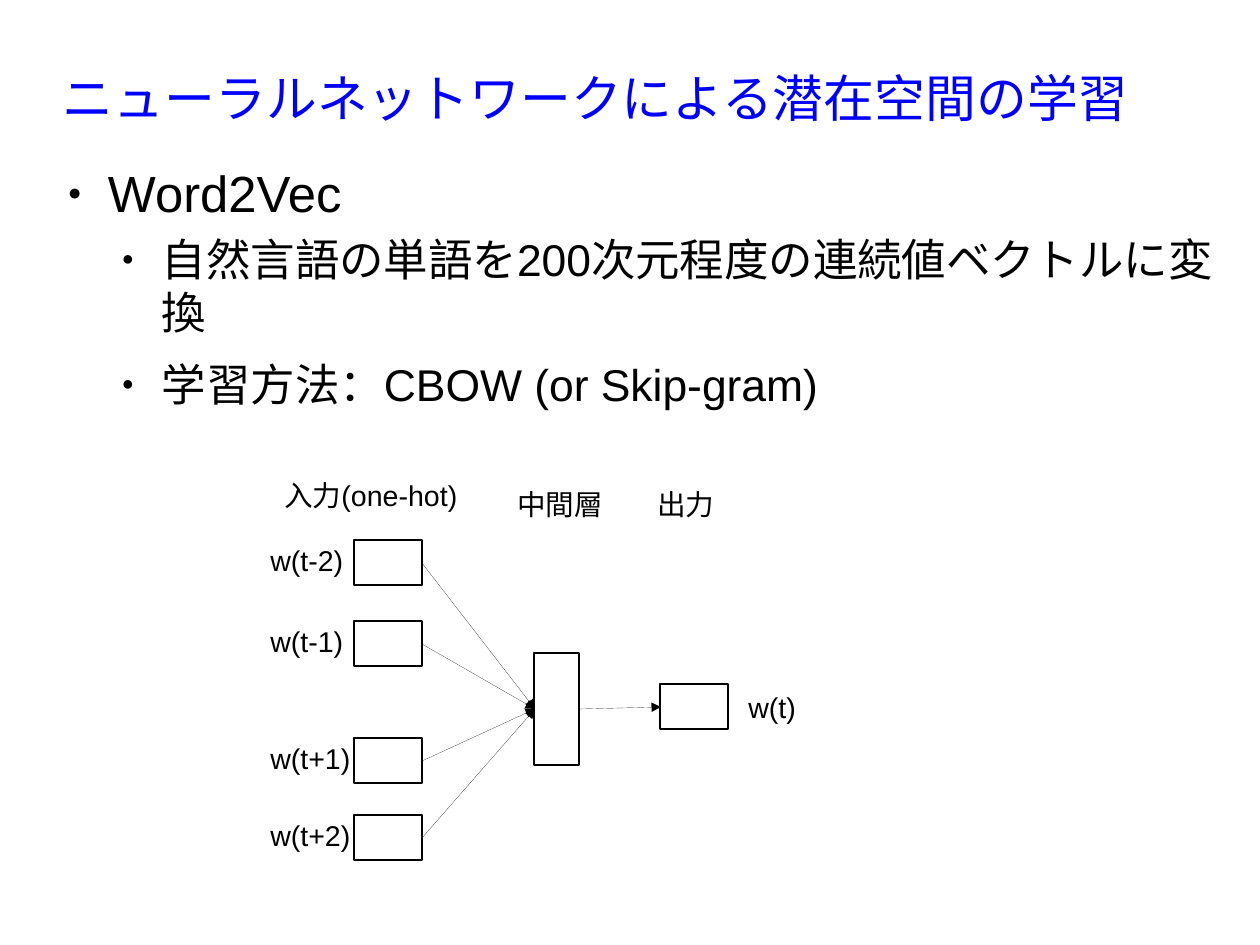
import pptx
import pptx.dml.color
import pptx.enum.shapes
import pptx.enum.text
import pptx.oxml.ns
import pptx.util
from lxml import etree

PX = 8000
BLACK = "000000"
BLUE = "0000FF"


def px(length):
    """Turn px into EMU."""
    return pptx.util.Emu(length * PX)


def color(value):
    """Turn a hex string into a colour."""
    return pptx.dml.color.RGBColor.from_string(value)


def add_element(parent, tag, **attributes):
    """Append a drawing element to its parent."""
    return etree.SubElement(parent, pptx.oxml.ns.qn(tag), attributes)


def add_span(para, text, size, ink=BLACK):
    """Add one run of text to a paragraph."""
    span = para.add_run()
    span.text = text
    span.font.name = "Arial"
    span.font.size = pptx.util.Pt(size)
    span.font.color.rgb = color(ink)


def add_frame(page, box):
    """Add a wrapping text box without margins."""
    frame = page.shapes.add_textbox(*map(px, box)).text_frame
    frame.word_wrap = True
    frame.margin_left = frame.margin_right = 0
    frame.margin_top = frame.margin_bottom = 0
    return frame


def add_title(page, box, text):
    """Add the slide title."""
    frame = add_frame(page, box)
    frame.vertical_anchor = pptx.enum.text.MSO_ANCHOR.MIDDLE
    add_span(frame.paragraphs[0], text, 32, BLUE)


def add_bullets(page, box, items):
    """Add the bulleted text on its two levels."""
    frame = add_frame(page, box)
    for index, (level, text) in enumerate(items):
        para = frame.paragraphs[0] if index == 0 else frame.add_paragraph()
        para.level = level
        props = para._p.get_or_add_pPr()
        props.set("marL", str(px(54 * (level + 1))))
        props.set("indent", str(px(-40)))
        ink = add_element(props, "a:buClr")
        add_element(ink, "a:srgbClr", val=BLACK)
        add_element(props, "a:buSzPct", val="45000")
        add_element(props, "a:buFont", typeface="Arial")
        add_element(props, "a:buChar", char="●")
        para.space_after = pptx.util.Pt((5.7, 11.3)[level])
        add_span(para, text, (32, 28)[level])


def add_label(page, box, text, wrap=False):
    """Add a label of the network diagram."""
    frame = page.shapes.add_textbox(*map(px, box)).text_frame
    frame.word_wrap = wrap
    frame.auto_size = pptx.enum.text.MSO_AUTO_SIZE.SHAPE_TO_FIT_TEXT
    add_span(frame.paragraphs[0], text, 18)


def add_layer(page, box):
    """Add one outlined rectangle of the network."""
    kind = pptx.enum.shapes.MSO_SHAPE.RECTANGLE
    layer = page.shapes.add_shape(kind, *map(px, box))
    layer.shadow.inherit = False
    layer.fill.background()
    layer.line.color.rgb = color(BLACK)
    layer.line.width = pptx.util.Pt(1)


def add_arrow(page, start, end):
    """Add a hairline arrow between two points."""
    kind = pptx.enum.shapes.MSO_CONNECTOR.STRAIGHT
    arrow = page.shapes.add_connector(kind, *map(px, start + end))
    arrow.line.color.rgb = color(BLACK)
    outline = arrow.line._get_or_add_ln()
    outline.set("w", "0")
    add_element(outline, "a:tailEnd", type="triangle")
    add_element(arrow._element.spPr, "a:effectLst")


def add_network(page, left, top):
    """Add the diagram of inputs, hidden layer and output."""
    hidden = (left + 276, top + 237)
    inputs = [("w(t-2)", 68, 96), ("w(t-1)", 149, 96),
              ("w(t+1)", 266, 103), ("w(t+2)", 343, 103)]
    for text, offset, width in inputs:
        row = top + offset
        add_layer(page, (left + 95, row, 68, 45))
        add_label(page, (left, row - 3, width, 43), text)
        add_arrow(page, (left + 163, row + 23), hidden)

    add_layer(page, (left + 275, top + 181, 45, 112))
    add_layer(page, (left + 401, top + 212, 68, 45))
    add_label(page, (left + 478, top + 212, 96, 45), "w(t)", wrap=True)
    add_arrow(page, (left + 321, top + 237), (left + 402, top + 235))

    headings = [("入力(one-hot)", 14, 0, 203), ("中間層", 247, 9, 109),
                ("出力", 387, 9, 80)]
    for text, across, down, width in headings:
        add_label(page, (left + across, top + down, width, 54), text)


def main():
    """Build and save the deck."""
    deck = pptx.Presentation()
    deck.slide_width, deck.slide_height = px(1260), px(945)
    page = deck.slides.add_slide(deck.slide_layouts[6])
    add_title(page, (63, 38, 1134, 119), "ニューラルネットワークによる潜在空間の学習")
    add_bullets(page, (54, 162, 1161, 679), [
        (0, "Word2Vec"),
        (1, "自然言語の単語を200次元程度の連続値ベクトルに変換"),
        (1, "学習方法：CBOW (or Skip-gram)"),
    ])
    add_network(page, 259, 472)
    deck.save("out.pptx")


if __name__ == "__main__":
    main()
